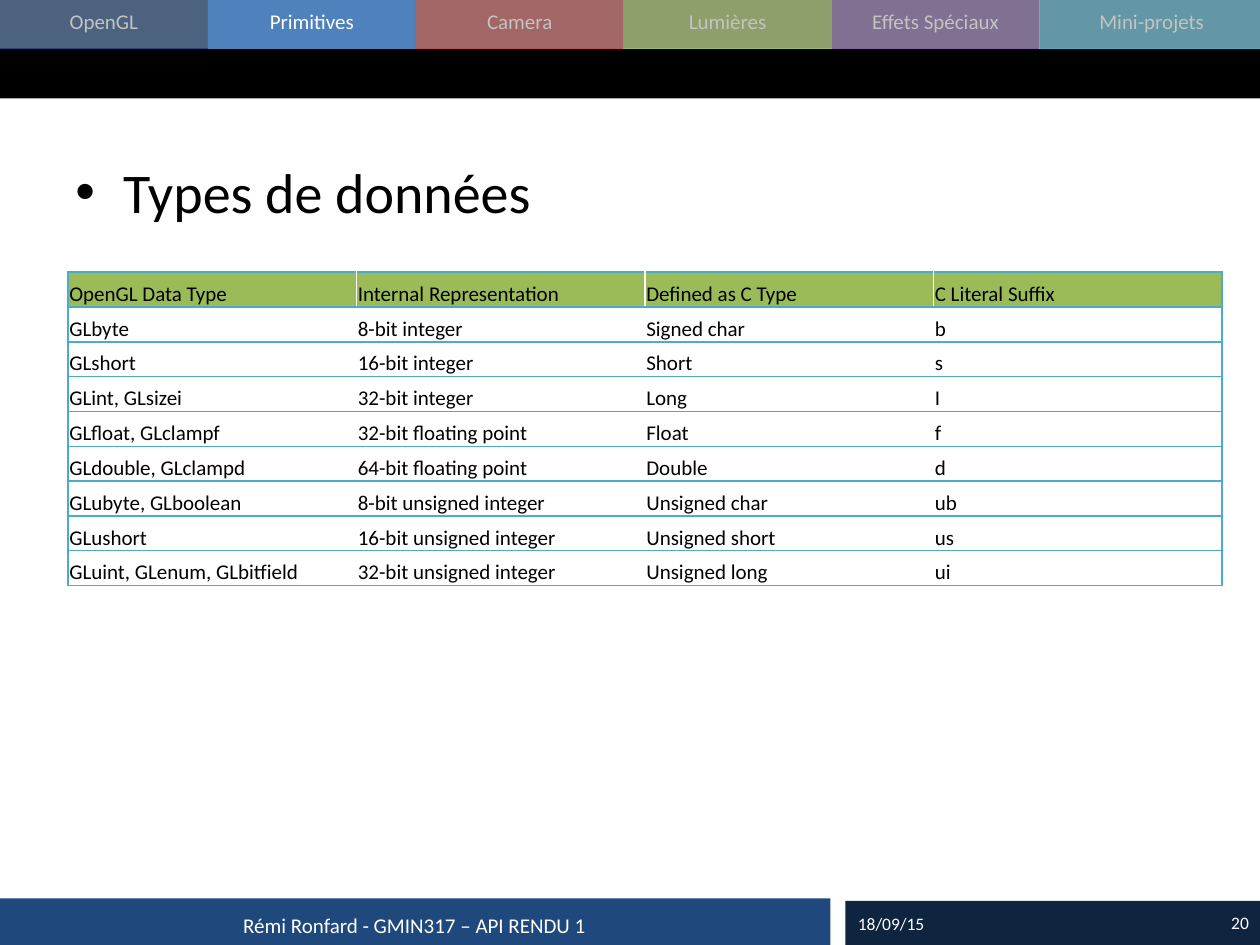
from dataclasses import dataclass

from lxml.etree import SubElement
from pptx import Presentation
from pptx.dml.color import RGBColor
from pptx.enum.shapes import MSO_SHAPE
from pptx.enum.text import MSO_ANCHOR, PP_ALIGN
from pptx.oxml.ns import qn
from pptx.util import Inches, Pt


@dataclass(frozen=True)
class Theme:
    font: str = "Calibri"
    white: str = "FFFFFF"
    black: str = "000000"
    navy: str = "1F497D"
    dark: str = "0F243E"
    blue: str = "4F81BD"
    red: str = "C0504D"
    green: str = "9BBB59"
    purple: str = "8064A2"
    teal: str = "4BACC6"
    veil: str = "808080"
    heading: float = 32
    body: float = 12
    small: float = 10


@dataclass(frozen=True)
class Box:
    left: float
    top: float
    width: float
    height: float

    def emu(self) -> tuple:
        return tuple(Inches(v) for v in (self.left, self.top, self.width, self.height))


@dataclass(frozen=True)
class Tab:
    label: str
    color: str
    width: float = 1.65


T = Theme()
TAB_W, TAB_H = 1.65, 0.39
TABS = [
    Tab("OpenGL", T.navy),
    Tab("Primitives", T.blue),
    Tab("Camera", T.red),
    Tab("Lumières", T.green),
    Tab("Effets Spéciaux", T.purple),
    Tab("Mini-projets", T.teal, 1.78),
]
TYPES = [
    ("OpenGL Data Type", "Internal Representation", "Defined as C Type", "C Literal Suffix"),
    ("GLbyte", "8-bit integer", "Signed char", "b"),
    ("GLshort", "16-bit integer", "Short", "s"),
    ("GLint, GLsizei", "32-bit integer", "Long", "I"),
    ("GLfloat, GLclampf", "32-bit floating point", "Float", "f"),
    ("GLdouble, GLclampd", "64-bit floating point", "Double", "d"),
    ("GLubyte, GLboolean", "8-bit unsigned integer", "Unsigned char", "ub"),
    ("GLushort", "16-bit unsigned integer", "Unsigned short", "us"),
    ("GLuint, GLenum, GLbitfield", "32-bit unsigned integer", "Unsigned long", "ui"),
]


def add_rect(s, box: Box, color: str, opacity: int = 100):
    sp = s.shapes.add_shape(MSO_SHAPE.RECTANGLE, *box.emu())
    sp.shadow.inherit = False
    sp.line.fill.background()
    sp.fill.solid()
    sp.fill.fore_color.rgb = RGBColor.from_string(color)
    if opacity < 100:
        clr = sp.fill._xPr.find(qn("a:solidFill"))[0]
        SubElement(clr, qn("a:alpha"), val=str(opacity * 1000))


def write(tf, text: str, size: float, color: str, align=PP_ALIGN.LEFT):
    p = tf.paragraphs[0]
    p.alignment = align
    r = p.add_run()
    r.text = text
    formats = {"name": T.font, "size": Pt(size)}
    for name, value in formats.items():
        setattr(r.font, name, value)
    r.font.color.rgb = RGBColor.from_string(color)
    return p


def add_text(s, box: Box, text: str, size: float, color: str,
             align=PP_ALIGN.LEFT, anchor=MSO_ANCHOR.TOP):
    tf = s.shapes.add_textbox(*box.emu()).text_frame
    tf.word_wrap = True
    tf.vertical_anchor = anchor
    return write(tf, text, size, color, align)


def add_border(cell, side: str):
    ln = SubElement(cell._tc.get_or_add_tcPr(), qn(f"a:ln{side}"), w=str(Pt(1)))
    SubElement(SubElement(ln, qn("a:solidFill")), qn("a:srgbClr"), val=T.teal)


def add_types_table(s, box: Box, rows: list):
    n_cols = len(rows[0])
    table = s.shapes.add_table(len(rows), n_cols, *box.emu()).table
    for col in table.columns:
        col.width = Inches(box.width / n_cols)
    margins = {"margin_left": 0.01, "margin_right": 0.01, "margin_top": 0.01, "margin_bottom": 0}
    for i, row in enumerate(rows):
        table.rows[i].height = Inches(box.height / len(rows))
        for j, text in enumerate(row):
            cell = table.cell(i, j)
            for name, value in margins.items():
                setattr(cell, name, Inches(value))
            cell.vertical_anchor = MSO_ANCHOR.BOTTOM
            # Outer sides at the ends, rules above and below every row
            sides = ("L" if j == 0 else "") + ("R" if j == n_cols - 1 else "") + "TB"
            for side in sides:
                add_border(cell, side)
            cell.fill.solid()
            cell.fill.fore_color.rgb = RGBColor.from_string(T.white if i else T.green)
            write(cell.text_frame, text, T.body, T.black)


def add_bullet(p, indent: float):
    pPr = p._p.get_or_add_pPr()
    pPr.set("marL", str(Inches(indent)))
    pPr.set("indent", str(-Inches(indent)))
    SubElement(pPr, qn("a:buFont"), typeface="Arial")
    SubElement(pPr, qn("a:buChar"), char="•")


def main():
    prs = Presentation()
    prs.slide_width, prs.slide_height = Inches(10), Inches(7.5)
    s = prs.slides.add_slide(prs.slide_layouts[6])

    # Navigation tabs and black band
    for i, tab in enumerate(TABS):
        add_rect(s, Box(i * TAB_W, 0, tab.width, TAB_H), tab.color)
    add_rect(s, Box(0, TAB_H, 10.04, TAB_H), T.black)
    for i, tab in enumerate(TABS):
        add_text(s, Box(i * TAB_W, 0.02, tab.width, 0.3), tab.label,
                 T.body, T.white, PP_ALIGN.CENTER)

    # Footer bars
    add_rect(s, Box(-0.01, 7.13, 6.6, 0.38), T.navy)
    add_rect(s, Box(6.71, 7.15, 3.31, 0.38), T.dark)

    # Veils over the inactive tabs
    for left, width in ((2 * TAB_W, 6.73), (0, TAB_W)):
        add_rect(s, Box(left, -0.01, width, TAB_H), T.veil, opacity=47)

    # Footer texts
    middle = MSO_ANCHOR.MIDDLE
    add_text(s, Box(-0.01, 7.15, 6.6, 0.38), "Rémi Ronfard - GMIN317 – API RENDU 1",
             T.body, T.white, PP_ALIGN.CENTER, middle)
    add_text(s, Box(7.68, 7.14, 2.33, 0.37), "20", T.small, T.white, PP_ALIGN.RIGHT, middle)
    add_text(s, Box(6.71, 7.14, 0.98, 0.38), "18/09/15", T.small, T.white, anchor=middle)

    # Data types
    add_types_table(s, Box(0.54, 2.16, 9.16, 2.49), TYPES)
    p = add_text(s, Box(0.5, 1.2, 9, 5.5), "Types de données", T.heading, T.black)
    p.space_before = Pt(6.4)
    add_bullet(p, 0.38)

    prs.save("out.pptx")


if __name__ == "__main__":
    main()
